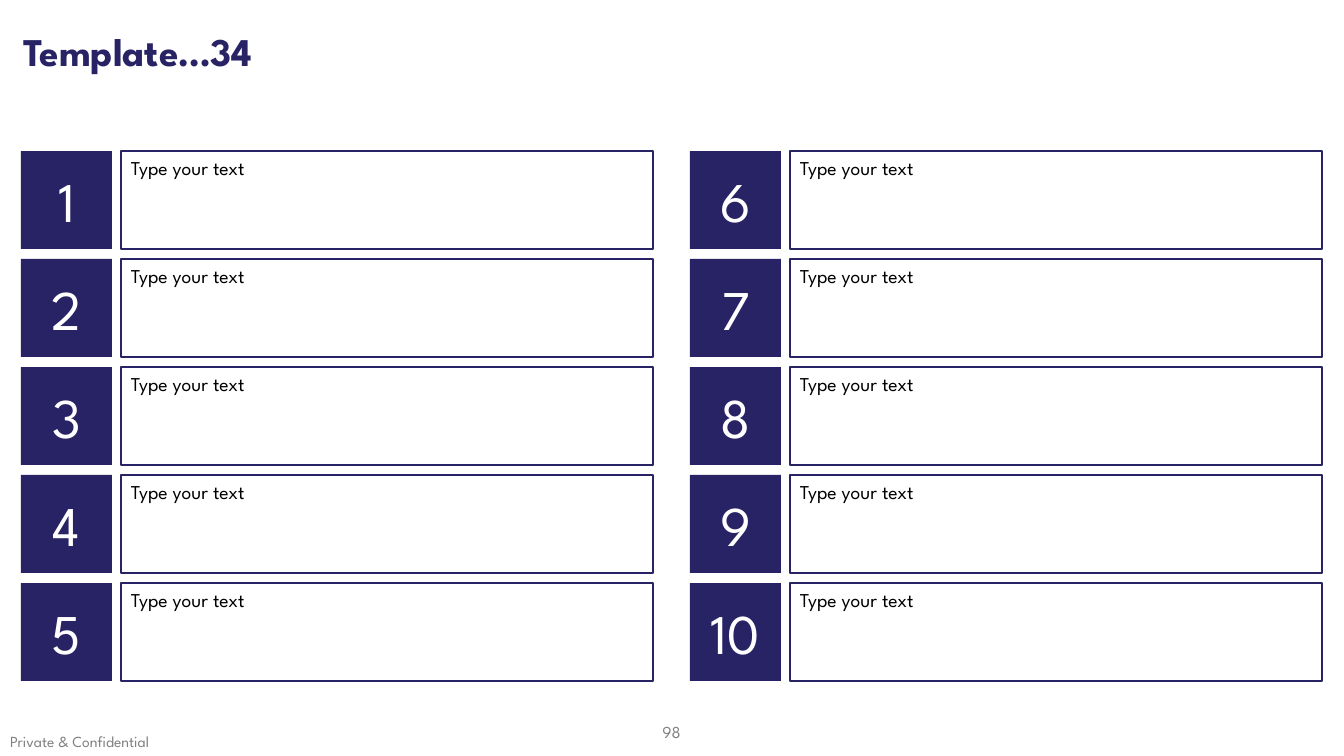
from dataclasses import dataclass

from pptx import Presentation
from pptx.dml.color import RGBColor
from pptx.enum.shapes import MSO_SHAPE
from pptx.enum.text import MSO_ANCHOR, PP_ALIGN
from pptx.util import Emu, Pt

PX = 914400 / 100.8
NAVY, WHITE, BLACK, GREY = "282364", "FFFFFF", "000000", "808080"
FONT = "League Spartan"

# Grid of numbered items, in px
ROWS, COLUMNS = 5, 2
GRID_LEFT, GRID_TOP = 21, 151
COLUMN_STEP, ROW_STEP = 669, 108
NUMBER_WIDTH, ENTRY_OFFSET, ENTRY_WIDTH, ITEM_HEIGHT = 91, 100, 532, 98


@dataclass(frozen=True)
class Style:
    size: int
    color: str
    bold: bool = False
    align: PP_ALIGN = PP_ALIGN.LEFT
    anchor: MSO_ANCHOR = MSO_ANCHOR.TOP
    line_spacing: float = 1.0
    inset: int = 10


@dataclass(frozen=True)
class Box:
    text: str
    left: int
    top: int
    width: int
    height: int
    style: Style
    fill: str | None = None
    line: str | None = None


def px(length: int) -> Emu:
    return Emu(round(length * PX))


def rgb(color: str) -> RGBColor:
    return RGBColor.from_string(color)


def write(frame, text: str, style: Style) -> None:
    frame.word_wrap = True
    frame.vertical_anchor = style.anchor
    frame.margin_left = px(style.inset)
    paragraph = frame.paragraphs[0]
    paragraph.alignment = style.align
    paragraph.line_spacing = style.line_spacing
    run = paragraph.add_run()
    run.text = text
    formats = {"name": FONT, "size": Pt(style.size), "bold": style.bold}
    for attribute, value in formats.items():
        setattr(run.font, attribute, value)
    run.font.color.rgb = rgb(style.color)


def draw(slide, box: Box) -> None:
    place = [px(n) for n in (box.left, box.top, box.width, box.height)]
    if box.fill or box.line:
        shape = slide.shapes.add_shape(MSO_SHAPE.RECTANGLE, *place)
        shape.shadow.inherit = False
    else:
        shape = slide.shapes.add_textbox(*place)
    if box.fill:
        shape.fill.solid()
        shape.fill.fore_color.rgb = rgb(box.fill)
    else:
        shape.fill.background()
    if box.line:
        shape.line.color.rgb = rgb(box.line)
        shape.line.width = Pt(1.5)
    else:
        shape.line.fill.background()
    write(shape.text_frame, box.text, box.style)


TITLE = Style(28, NAVY, bold=True, anchor=MSO_ANCHOR.MIDDLE, line_spacing=0.9, inset=23)
NUMBER = Style(40, WHITE, align=PP_ALIGN.CENTER, anchor=MSO_ANCHOR.MIDDLE)
ENTRY = Style(14, BLACK)
PAGE = Style(12, GREY, align=PP_ALIGN.CENTER, anchor=MSO_ANCHOR.MIDDLE)
NOTICE = Style(11, GREY)


def main() -> None:
    deck = Presentation()
    deck.slide_width, deck.slide_height = px(1344), px(756)
    slide = deck.slides.add_slide(deck.slide_layouts[6])

    # Footer and title
    draw(slide, Box("98", 642, 712, 59, 40, PAGE))
    draw(slide, Box("Private & Confidential", 0, 727, 335, 29, NOTICE))
    draw(slide, Box("Template…34", 0, 1, 1344, 106, TITLE))

    # Numbered items, counted down each column
    for index in range(ROWS * COLUMNS):
        column, row = divmod(index, ROWS)
        left = GRID_LEFT + column * COLUMN_STEP
        top = GRID_TOP + row * ROW_STEP
        draw(slide, Box(str(index + 1), left, top, NUMBER_WIDTH, ITEM_HEIGHT,
                        NUMBER, fill=NAVY))
        draw(slide, Box("Type your text", left + ENTRY_OFFSET, top, ENTRY_WIDTH,
                        ITEM_HEIGHT, ENTRY, line=NAVY))

    deck.save("out.pptx")


if __name__ == "__main__":
    main()
